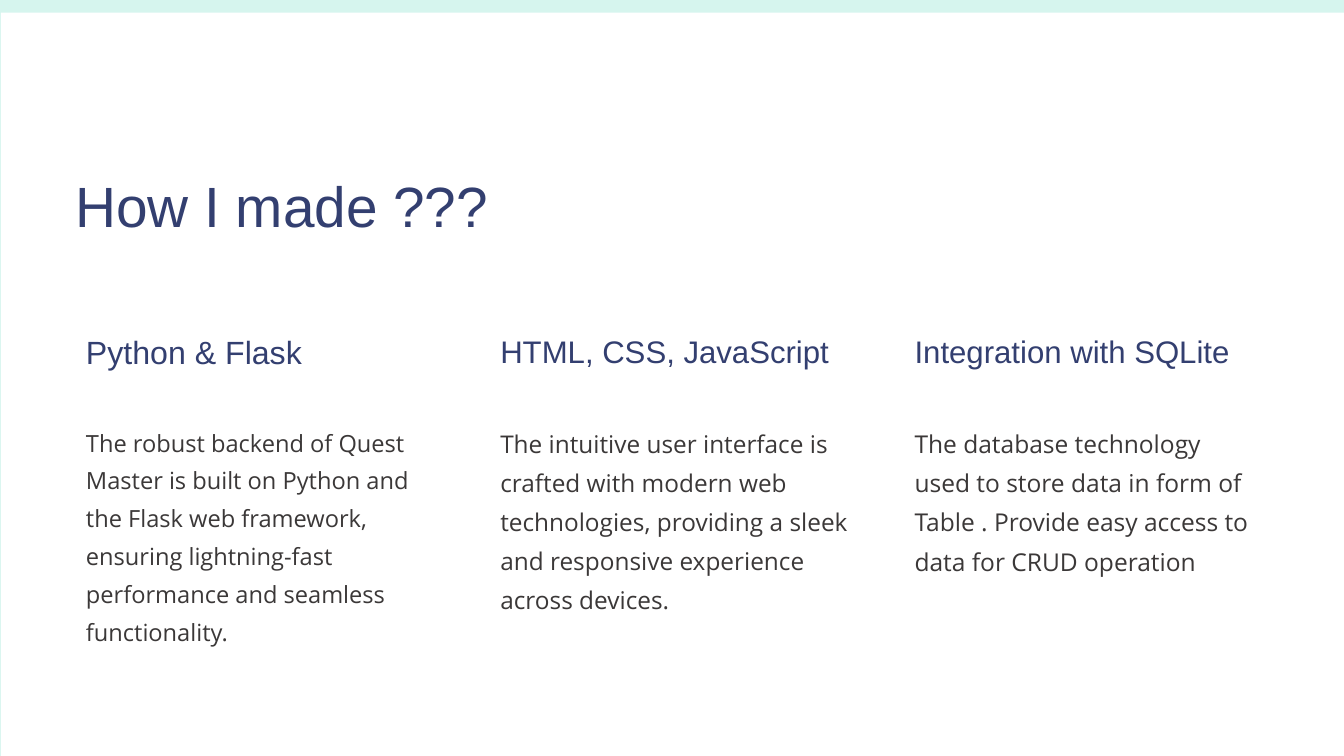
import pptx
import pptx.dml.color
import pptx.enum.shapes
import pptx.enum.text
import pptx.util
from pptx.util import Cm

SLIDE_WIDTH, SLIDE_HEIGHT = 50.8, 28.58
NAVY, CHARCOAL, MINT, WHITE = "333F70", "3B3838", "D6F5EE", "FFFFFF"
HEADING_FONT, BODY_FONT = "Arial", "Open Sans"

COLUMN_LEFT, COLUMN_STEP = 3.25, 15.66
HEADING_TOP, BODY_TOP = 12.5, 15.84

# Heading, its size and line spacing; body, its size, line spacing, width and height
COLUMNS = [
    ("Python & Flask", 34.4, 43,
     "The robust backend of Quest Master is built on Python and the Flask web "
     "framework, ensuring lightning-fast performance and seamless functionality.",
     25.3, 40.5, 13.03, 8.33),
    ("HTML, CSS, JavaScript", 33.4, 41.7,
     "The intuitive user interface is crafted with modern web technologies, "
     "providing a sleek and responsive experience across devices.",
     26.1, 41.8, 14, 7.19),
    ("Integration with SQLite", 33.4, 41.7,
     "The database technology used to store data in form of Table . "
     "Provide easy access to data for CRUD operation",
     26.3, 42.1, 13.03, 7.34),
]


def color(hex_string):
    return pptx.dml.color.RGBColor.from_string(hex_string)


def add_backdrop(slide, left, top, fill):
    """Fill the slide from the given corner to its bottom right, behind the title."""
    backdrop = slide.shapes.add_shape(
        pptx.enum.shapes.MSO_SHAPE.RECTANGLE, Cm(left), Cm(top),
        Cm(SLIDE_WIDTH - left), Cm(SLIDE_HEIGHT - top))
    backdrop.shadow.inherit = False
    backdrop.fill.solid()
    backdrop.fill.fore_color.rgb = color(fill)
    backdrop.line.fill.background()
    slide.shapes.title.element.addprevious(backdrop.element)


def write_text(shape, text, font_name, size, line_spacing, font_color):
    frame = shape.text_frame
    frame.text = text
    frame.word_wrap = True
    frame.auto_size = pptx.enum.text.MSO_AUTO_SIZE.NONE
    frame.vertical_anchor = pptx.enum.text.MSO_ANCHOR.TOP
    frame.margin_left = frame.margin_right = 0
    frame.margin_top = frame.margin_bottom = 0
    paragraph = frame.paragraphs[0]
    paragraph.alignment = pptx.enum.text.PP_ALIGN.LEFT
    paragraph.line_spacing = pptx.util.Pt(line_spacing)
    paragraph.space_before = pptx.util.Pt(0)
    font = paragraph.runs[0].font
    font.name = font_name
    font.size = pptx.util.Pt(size)
    font.color.rgb = color(font_color)


def add_title(slide, text):
    title = slide.shapes.title
    title.left, title.top = Cm(2.84), Cm(6.35)
    title.width, title.height = Cm(44.3), Cm(2.72)
    write_text(title, text, HEADING_FONT, 60.8, 75.9, NAVY)


def add_column(slide, left, heading, heading_size, heading_spacing,
               body, body_size, body_spacing, body_width, body_height):
    heading_box = slide.shapes.add_textbox(
        Cm(left), Cm(HEADING_TOP), Cm(13.03), Cm(1.5))
    write_text(heading_box, heading, HEADING_FONT, heading_size, heading_spacing, NAVY)
    body_box = slide.shapes.add_textbox(
        Cm(left), Cm(BODY_TOP), Cm(body_width), Cm(body_height))
    write_text(body_box, body, BODY_FONT, body_size, body_spacing, CHARCOAL)


def main():
    presentation = pptx.Presentation()
    presentation.slide_width = Cm(SLIDE_WIDTH)
    presentation.slide_height = Cm(SLIDE_HEIGHT)
    title_only = presentation.slide_layouts.get_by_name("Title Only")
    slide = presentation.slides.add_slide(title_only)

    add_backdrop(slide, 0, 0, MINT)
    add_backdrop(slide, 0.03, 0.48, WHITE)
    add_title(slide, "How I made ???")
    for index, column in enumerate(COLUMNS):
        add_column(slide, COLUMN_LEFT + index * COLUMN_STEP, *column)

    presentation.save("out.pptx")


if __name__ == "__main__":
    main()
